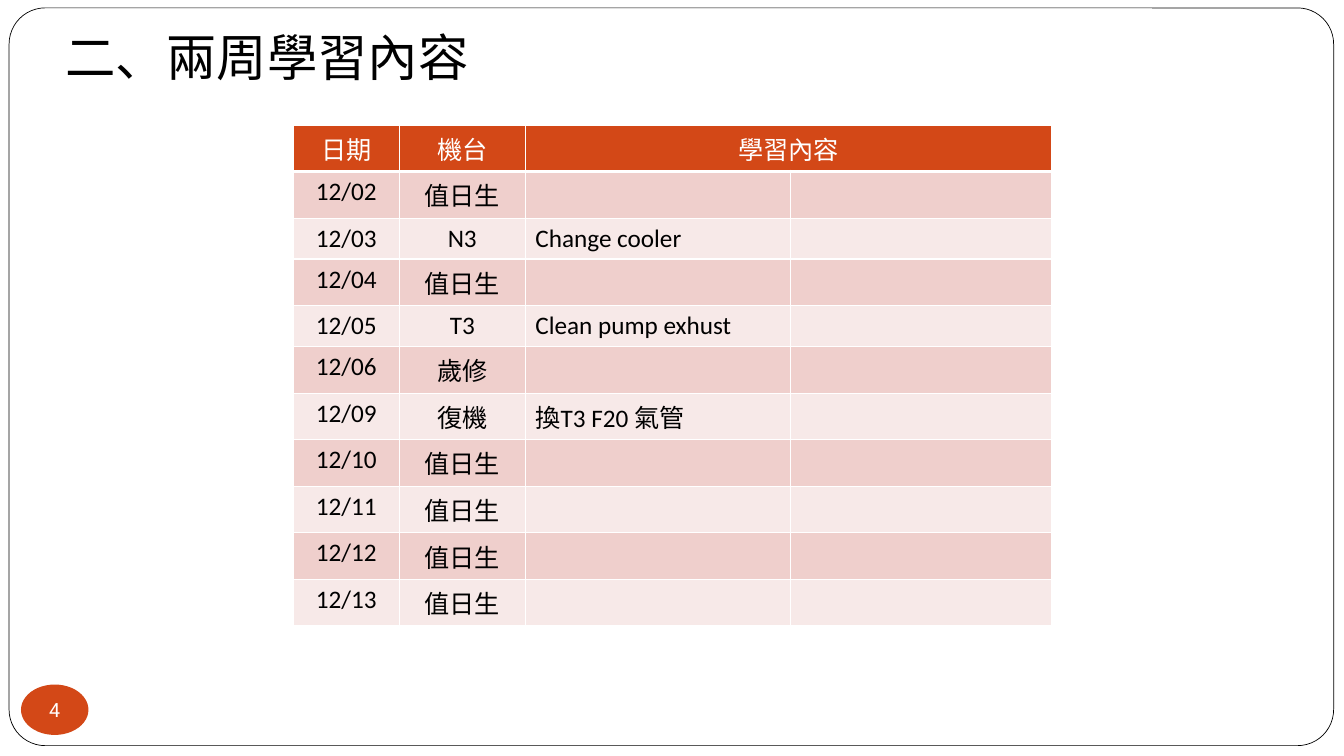
from dataclasses import dataclass

from lxml import etree
from pptx import Presentation
from pptx import util as u
from pptx.dml.color import RGBColor
from pptx.enum import shapes, text
from pptx.oxml import ns


@dataclass(frozen=True)
class Theme:
    accent: str = "D34817"
    band_dark: str = "EFCFCC"
    band_light: str = "F7E9E8"
    white: str = "FFFFFF"
    black: str = "000000"
    body_font: str = "Calibri"
    number_font: str = "Roboto"
    title_size: int = 36
    table_size: int = 18
    number_size: int = 14


THEME = Theme()
ON_DUTY = "值日生"
HEADINGS = ("日期", "機台", "學習內容", "")
SCHEDULE = [
    ("12/02", ON_DUTY, ""),
    ("12/03", "N3", "Change cooler"),
    ("12/04", ON_DUTY, ""),
    ("12/05", "T3", "Clean pump exhust"),
    ("12/06", "歲修", ""),
    ("12/09", "復機", "換T3 F20 氣管"),
    ("12/10", ON_DUTY, ""),
    ("12/11", ON_DUTY, ""),
    ("12/12", ON_DUTY, ""),
    ("12/13", ON_DUTY, ""),
]
COLUMN_WIDTHS = (2.67, 3.18, 6.68, 6.58)
ROW_HEIGHT = 1.02


def cm_box(box):
    return [u.Cm(length) for length in box]


def fill_solid(item, color):
    item.fill.solid()
    item.fill.fore_color.rgb = RGBColor.from_string(color)


def write(frame, content, size, color, font=THEME.body_font, align=text.PP_ALIGN.LEFT):
    paragraph = frame.paragraphs[0]
    paragraph.alignment = align
    run = paragraph.add_run()
    run.text = content
    formats = {"size": u.Pt(size), "name": font, "bold": False}
    for name, value in formats.items():
        setattr(run.font, name, value)
    run.font.color.rgb = RGBColor.from_string(color)


def add_plain_shape(slide, kind, box, color):
    shape = slide.shapes.add_shape(kind, *cm_box(box))
    shape.shadow.inherit = False
    fill_solid(shape, color)
    shape.line.fill.background()
    return shape


def add_frame(slide, box):
    frame = add_plain_shape(slide, shapes.MSO_SHAPE.ROUNDED_RECTANGLE, box, THEME.white)
    frame.adjustments[0] = 0.049
    frame.line.color.rgb = RGBColor.from_string(THEME.black)
    frame.line.width = u.Pt(0.5)


def add_page_number(slide, box, number):
    badge = add_plain_shape(slide, shapes.MSO_SHAPE.OVAL, box, THEME.accent)
    formats = {
        "margin_left": 0, "margin_top": 0, "margin_right": 0, "margin_bottom": 0,
        "word_wrap": False, "vertical_anchor": text.MSO_ANCHOR.MIDDLE,
    }
    for name, value in formats.items():
        setattr(badge.text_frame, name, value)
    write(badge.text_frame, number, THEME.number_size, THEME.white,
          THEME.number_font, text.PP_ALIGN.CENTER)


def add_title(slide, box, content):
    frame = slide.shapes.add_textbox(*cm_box(box)).text_frame
    frame.word_wrap = True
    frame.auto_size = text.MSO_AUTO_SIZE.SHAPE_TO_FIT_TEXT
    write(frame, content, THEME.title_size, THEME.black)


def add_borders(cell, bottom_width):
    """Draw white cell borders; call before filling, as borders precede the fill."""
    properties = cell._tc.get_or_add_tcPr()
    for side, width in {"L": 1, "R": 1, "T": 1, "B": bottom_width}.items():
        line = etree.SubElement(properties, ns.qn(f"a:ln{side}"), w=str(u.Pt(width)))
        solid = etree.SubElement(line, ns.qn("a:solidFill"))
        etree.SubElement(solid, ns.qn("a:srgbClr"), val=THEME.white)


def add_schedule(slide, left, top):
    rows = [HEADINGS] + [(*entry, "") for entry in SCHEDULE]
    box = (left, top, sum(COLUMN_WIDTHS), ROW_HEIGHT * len(rows))
    table = slide.shapes.add_table(len(rows), len(COLUMN_WIDTHS), *cm_box(box)).table
    table.horz_banding = False
    for column, width in zip(table.columns, COLUMN_WIDTHS):
        column.width = u.Cm(width)
    for row_index, row in enumerate(rows):
        table.rows[row_index].height = u.Cm(ROW_HEIGHT)
        is_header = row_index == 0
        band = THEME.band_dark if row_index % 2 else THEME.band_light
        for column_index, content in enumerate(row):
            cell = table.cell(row_index, column_index)
            add_borders(cell, 3 if is_header else 1)
            fill_solid(cell, THEME.accent if is_header else band)
            if content:
                centred = is_header or column_index < 2
                write(cell.text_frame, content, THEME.table_size,
                      THEME.white if is_header else THEME.black,
                      align=text.PP_ALIGN.CENTER if centred else text.PP_ALIGN.LEFT)
    table.cell(0, 2).merge(table.cell(0, 3))


def main():
    presentation = Presentation()
    presentation.slide_width = u.Cm(33.87)
    presentation.slide_height = u.Cm(19.05)
    slide = presentation.slides.add_slide(presentation.slide_layouts[6])
    add_frame(slide, (0.23, 0.2, 33.38, 18.59))
    add_page_number(slide, (0.53, 17.25, 1.7, 1.27), "4")
    add_schedule(slide, 7.39, 3.15)
    add_title(slide, (1.4, 0.53, 11.05, 1.8), "二、兩周學習內容")
    presentation.save("out.pptx")


if __name__ == "__main__":
    main()
